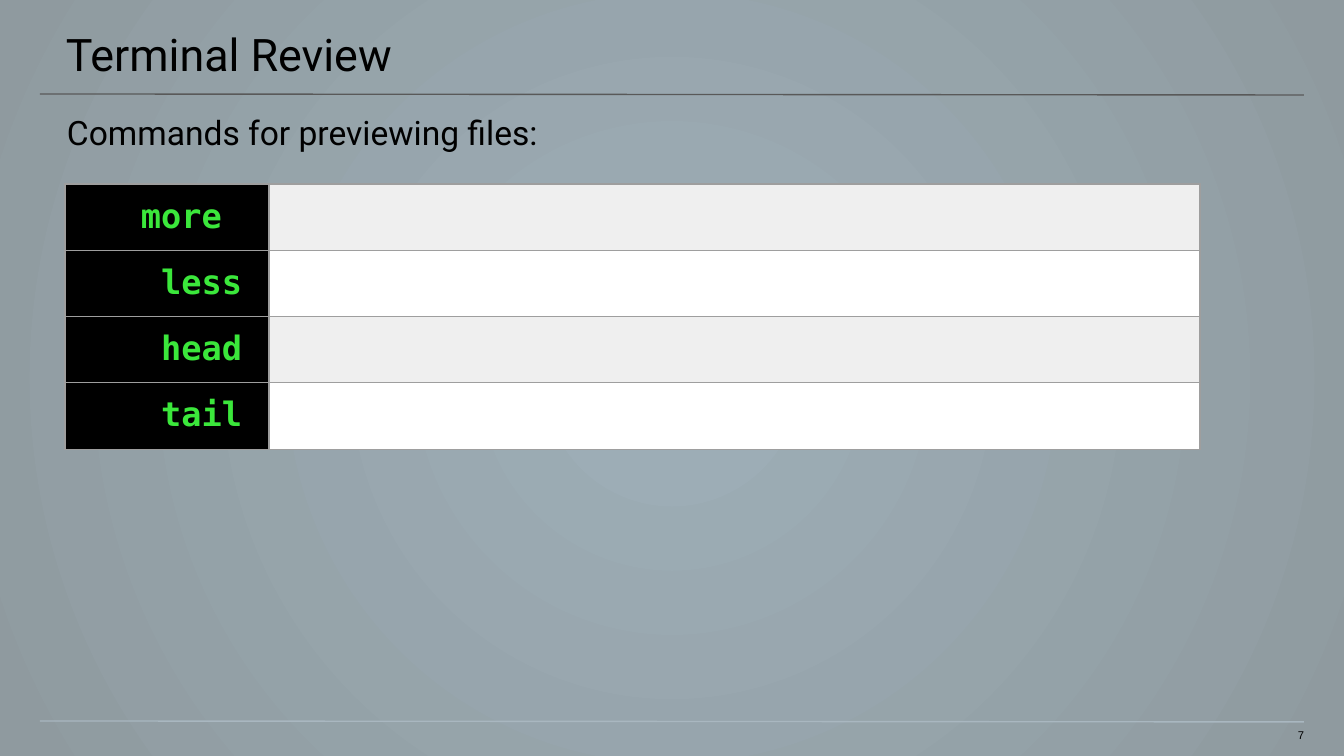
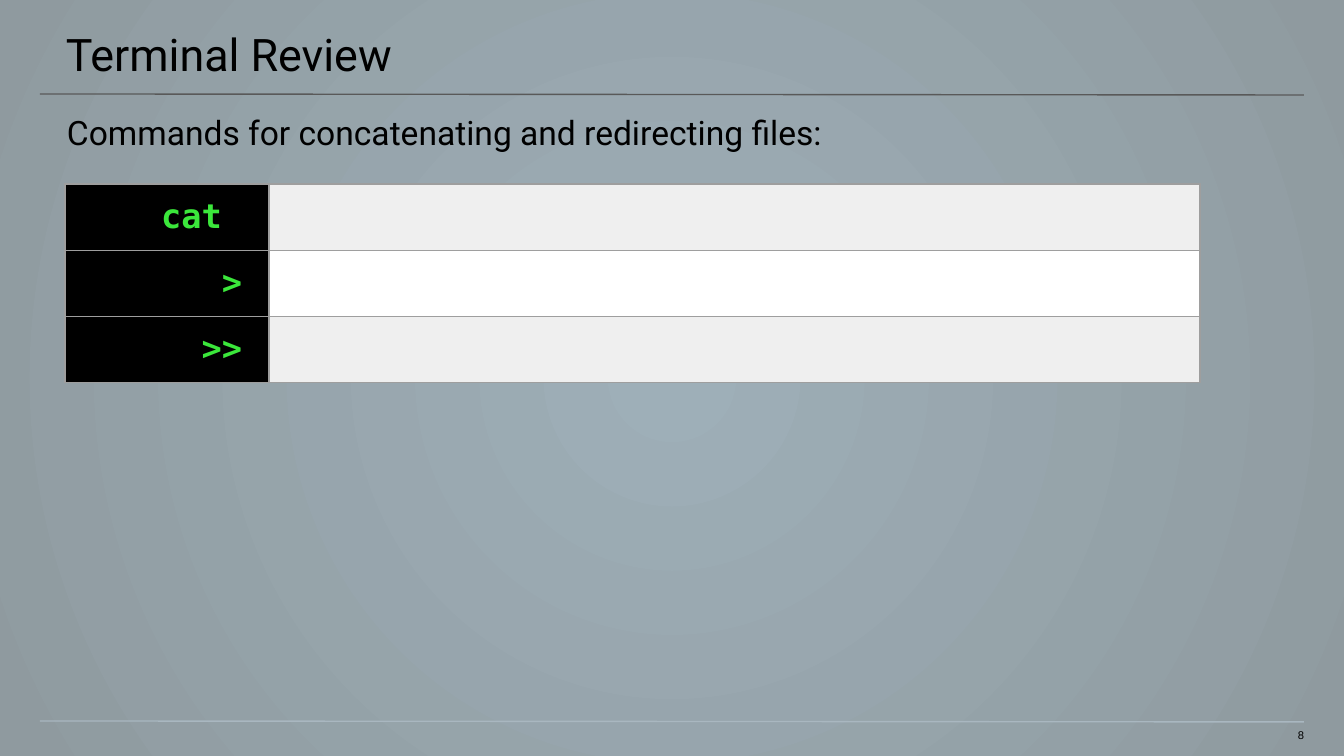
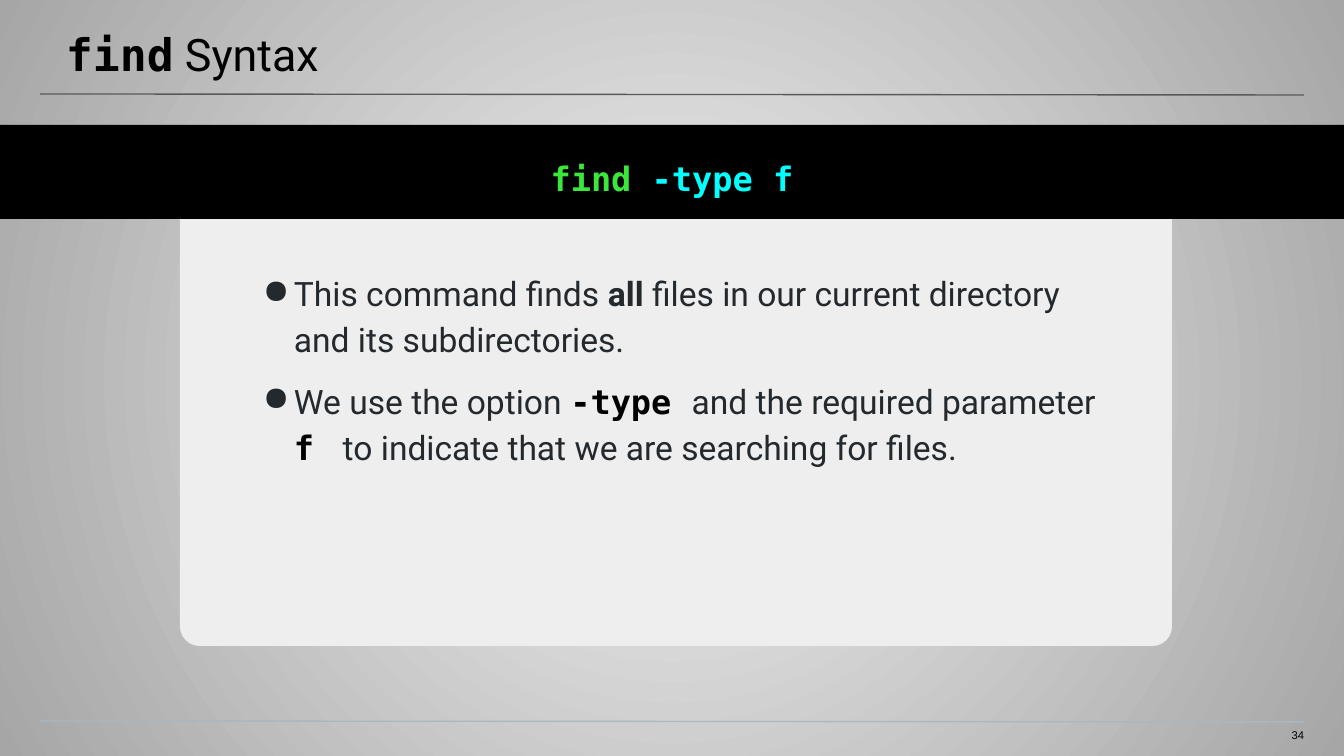
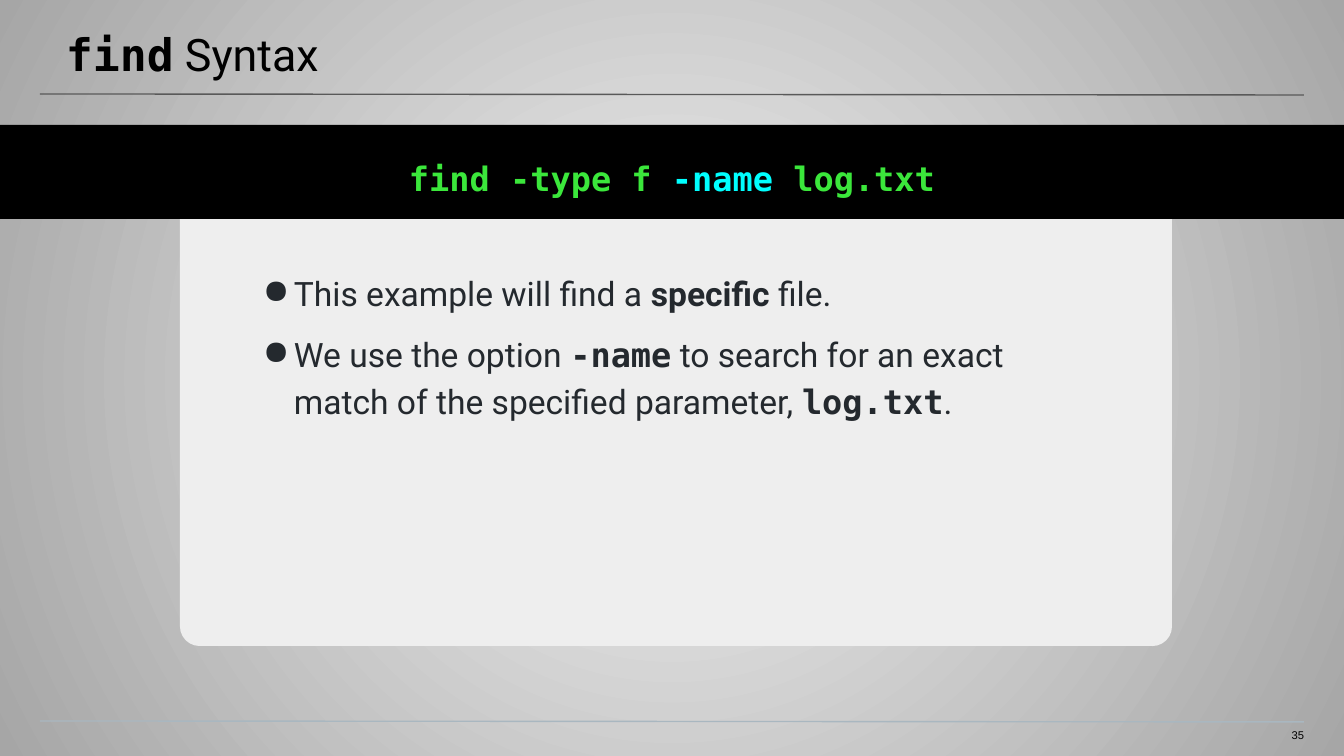
from pptx import Presentation
from pptx.dml.color import RGBColor
from pptx.enum.shapes import MSO_CONNECTOR as CONNECTOR, MSO_SHAPE as SHAPE
from pptx.enum.text import MSO_ANCHOR as ANCHOR, PP_ALIGN as ALIGN
from pptx.oxml import parse_xml
from pptx.oxml.ns import nsdecls
from pptx.util import Pt

# ---- Content -------------------------------------------------------------
REVIEW_TITLE = [("Terminal Review", "title")]
FIND_TITLE = [("find", "title code"), (" Syntax", "title")]

REVIEWS = [
    {"number": 7, "intro": "Commands for previewing files:",
     "commands": ["more ", "less", "head", "tail"]},
    {"number": 8, "intro": "Commands for concatenating and redirecting files:",
     "commands": ["cat ", ">", ">>"]},
]

EXAMPLES = [
    {"number": 34, "notes_height": 324,
     "command": [("find ", "command"), ("-type f", "option")],
     "notes": [
         [("This command finds ", "note"), ("all", "strong"),
          (" files in our current directory and its subdirectories.", "note")],
         [("We use the option ", "note"), ("-type ", "black code"),
          ("and the required parameter ", "note"), ("f ", "black code"),
          (" to indicate that we are searching for files.", "note")],
     ]},
    {"number": 35, "notes_height": 215,
     "command": [("find -type f ", "command"), ("-name ", "option"),
                 ("log.txt", "command")],
     "notes": [
         [("This example will find a ", "note"), ("specific", "strong"),
          (" file.", "note")],
         [("We use the option ", "note"), ("-name", "note code"),
          (" to search for an exact match of the specified parameter, ", "note"),
          ("log.txt", "note code"), (".", "note")],
     ]},
]

# ---- Shared look ---------------------------------------------------------
SANS, MONO = "Roboto", "DejaVu Sans Mono"
BLACK, INK, GREEN, CYAN = "000000", "24292E", "3BE73B", "00FFFF"
STYLES = {  # font, size, colour, bold
    "title": (SANS, 24, BLACK, False),
    "title code": (MONO, 24, BLACK, True),
    "intro": (SANS, 18, BLACK, False),
    "command": (MONO, 18, GREEN, True),
    "option": (MONO, 18, CYAN, True),
    "note": (SANS, 18, INK, False),
    "strong": (SANS, 18, INK, True),
    "note code": (MONO, 18, INK, True),
    "black code": (MONO, 18, BLACK, True),
    "number": ("Arial", 6, BLACK, False),
}
BLUE_GLOW = [("9EAFB8", 32), ("8F9A9F", 100)]  # colour, opacity in percent
GREY_GLOW = [("F2F2F2", 100), ("A6A6A6", 100)]
RULES = [(94, "595959"), (721, "A9B7C0")]
ROW_FILLS = ["EFEFEF", "FFFFFF"]
GRID = "9E9E9E"
COLUMNS, ROW_HEIGHT = (204, 931), 63
PANEL_LEFT, PANEL_WIDTH = 180, 992


def px(n):
    return round(n * 914400 / 134.4)


def rgb(colour):
    return RGBColor.from_string(colour)


# ---- Building blocks -----------------------------------------------------
def add_runs(paragraph, runs):
    for text, style in runs:
        run = paragraph.add_run()
        run.text = text
        font = run.font
        font.name, size, colour, font.bold = STYLES[style]
        font.size = Pt(size)
        font.color.rgb = rgb(colour)


def set_margins(target, margins):
    (target.margin_left, target.margin_top,
     target.margin_right, target.margin_bottom) = map(px, margins)


def prepare_frame(shape, margins):
    frame = shape.text_frame
    frame.word_wrap = True
    frame.vertical_anchor = ANCHOR.TOP
    set_margins(frame, margins)
    return frame


def add_text(slide, box, margins, runs, align=ALIGN.LEFT):
    frame = prepare_frame(slide.shapes.add_textbox(*map(px, box)), margins)
    frame.paragraphs[0].alignment = align
    add_runs(frame.paragraphs[0], runs)


def add_block(slide, kind, box, colour):
    block = slide.shapes.add_shape(kind, *map(px, box))
    block.shadow.inherit = False
    block.fill.solid()
    block.fill.fore_color.rgb = rgb(colour)
    block.line.fill.background()
    return block


def add_rule(slide, y, colour):
    rule = slide.shapes.add_connector(
        CONNECTOR.STRAIGHT, px(40), px(y), px(1304), px(y + 1))
    rule.line.color.rgb = rgb(colour)
    rule.line.width = Pt(0.75)
    rule._element.spPr.append(parse_xml(f"<a:effectLst {nsdecls('a')}/>"))


def set_glow(slide, glow):
    stops = "".join(
        f'<a:gs pos="{i * 100000}"><a:srgbClr val="{colour}">'
        f'<a:alpha val="{opacity * 1000}"/></a:srgbClr></a:gs>'
        for i, (colour, opacity) in enumerate(glow))
    slide.element.cSld.insert(0, parse_xml(
        f'<p:bg {nsdecls("p", "a")}><p:bgPr><a:gradFill><a:gsLst>{stops}</a:gsLst>'
        '<a:path path="circle"><a:fillToRect l="50000" t="50000" r="50000" b="50000"/>'
        '</a:path></a:gradFill><a:effectLst/></p:bgPr></p:bg>'))


def add_base(deck, glow, title, number):
    slide = deck.slides.add_slide(deck.slide_layouts[6])
    set_glow(slide, glow)
    for y, colour in RULES:
        add_rule(slide, y, colour)
    add_text(slide, (-1, 0, 1348, 78), (67, 27, 40, 13), title)
    add_text(slide, (1265, 728, 39, 16), (0, 0, 0, 13),
             [(str(number), "number")], ALIGN.RIGHT)
    return slide


# ---- Command table -------------------------------------------------------
def style_cell(cell, colour):
    cell.fill.solid()
    cell.fill.fore_color.rgb = rgb(colour)
    for i, side in enumerate("LRTB"):
        cell._tc.get_or_add_tcPr().insert(i, parse_xml(
            f'<a:ln{side} {nsdecls("a")} w="9525"><a:solidFill>'
            f'<a:srgbClr val="{GRID}"/></a:solidFill></a:ln{side}>'))


def add_commands(slide, commands):
    table = slide.shapes.add_table(
        len(commands), 2, px(65), px(184), px(sum(COLUMNS)),
        px(ROW_HEIGHT * len(commands))).table
    table.first_row = table.horz_banding = False
    for column, width in zip(table.columns, COLUMNS):
        column.width = px(width)
    for i, command in enumerate(commands):
        table.rows[i].height = px(ROW_HEIGHT)
        name, meaning = table.cell(i, 0), table.cell(i, 1)
        style_cell(name, BLACK)
        style_cell(meaning, ROW_FILLS[i % 2])
        set_margins(name, (27, 13, 27, 13))
        paragraph = name.text_frame.paragraphs[0]
        paragraph.alignment = ALIGN.RIGHT
        add_runs(paragraph, [(command, "command")])


# ---- Command example -----------------------------------------------------
def add_bar(slide, command):
    bar = add_block(slide, SHAPE.RECTANGLE, (0, 125, 1344, 94), BLACK)
    paragraph = prepare_frame(bar, (13, 27, 13, 27)).paragraphs[0]
    paragraph.alignment = ALIGN.CENTER
    paragraph.line_spacing = 1.15
    add_runs(paragraph, command)


def add_notes(slide, notes, height):
    box = slide.shapes.add_textbox(
        *map(px, (PANEL_LEFT, 267, PANEL_WIDTH, height)))
    frame = prepare_frame(box, (67, 0, 67, 134))
    for i, note in enumerate(notes):
        paragraph = frame.add_paragraph() if i else frame.paragraphs[0]
        props = paragraph._p.get_or_add_pPr()
        props.set("marL", str(px(47)))
        props.set("indent", str(px(-31)))
        props.append(parse_xml(
            f'<a:buClr {nsdecls("a")}><a:srgbClr val="{INK}"/></a:buClr>'))
        props.append(parse_xml(f'<a:buChar {nsdecls("a")} char="●"/>'))
        paragraph.line_spacing = 1.15
        if i:
            paragraph.space_before = Pt(8)
        add_runs(paragraph, note)


def main():
    deck = Presentation()
    deck.slide_width, deck.slide_height = px(1344), px(756)

    for review in REVIEWS:
        slide = add_base(deck, BLUE_GLOW, REVIEW_TITLE, review["number"])
        add_text(slide, (0, 99, 1344, 54), (67, 13, 67, 0),
                 [(review["intro"], "intro")])
        add_commands(slide, review["commands"])

    for example in EXAMPLES:
        slide = add_base(deck, GREY_GLOW, FIND_TITLE, example["number"])
        panel = add_block(slide, SHAPE.ROUND_2_SAME_RECTANGLE,
                          (PANEL_LEFT, 211, PANEL_WIDTH, 435), "EEEEEE")
        panel.rotation = 180
        panel.adjustments[0], panel.adjustments[1] = 0.045, 0
        add_bar(slide, example["command"])
        add_notes(slide, example["notes"], example["notes_height"])

    deck.save("out.pptx")


if __name__ == "__main__":
    main()
